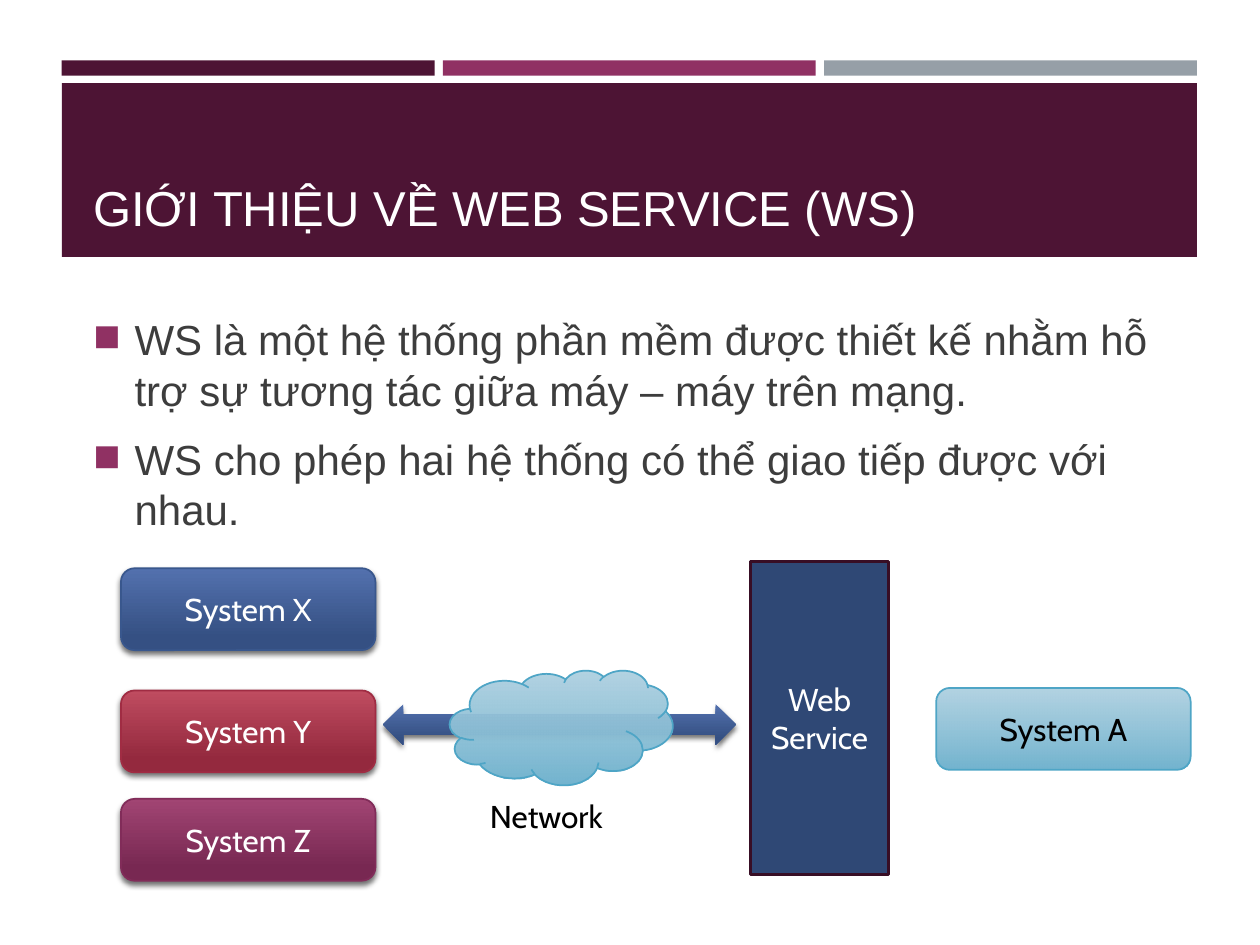
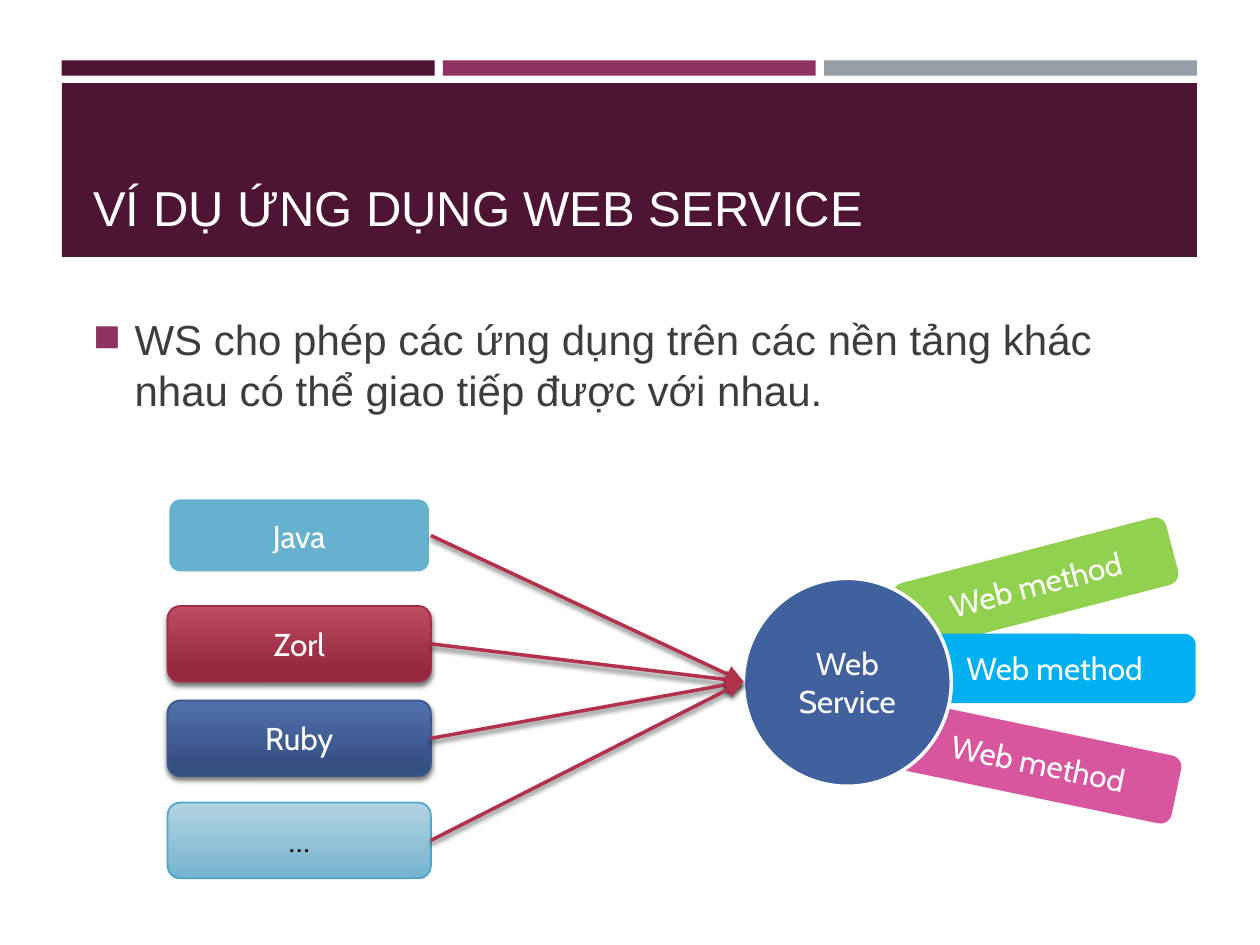
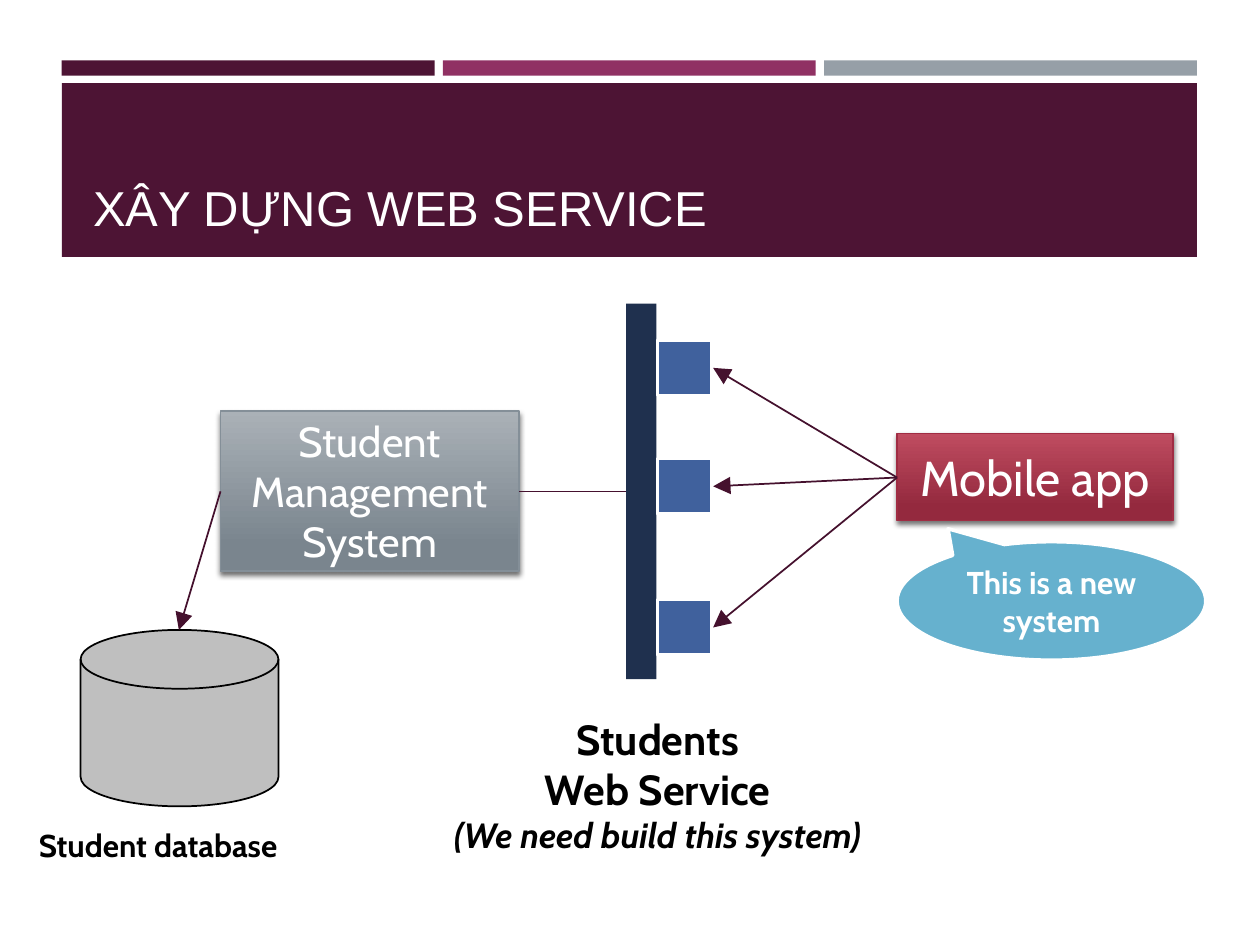
"""Build three slides that introduce web services."""
from collections import namedtuple

from lxml import etree
from pptx import Presentation
from pptx.dml.color import RGBColor
from pptx.enum.shapes import MSO_CONNECTOR, MSO_SHAPE
from pptx.enum.text import MSO_ANCHOR, MSO_AUTO_SIZE, PP_ALIGN
from pptx.oxml.ns import qn
from pptx.util import Inches, Pt

RECTANGLE, ROUNDED = MSO_SHAPE.RECTANGLE, MSO_SHAPE.ROUNDED_RECTANGLE
OVAL, CLOUD = MSO_SHAPE.OVAL, MSO_SHAPE.CLOUD
DOUBLE_ARROW, CALLOUT = MSO_SHAPE.LEFT_RIGHT_ARROW, MSO_SHAPE.OVAL_CALLOUT
DISK = MSO_SHAPE.FLOWCHART_MAGNETIC_DISK
STRAIGHT = MSO_CONNECTOR.STRAIGHT
MIDDLE, BOTTOM = MSO_ANCHOR.MIDDLE, MSO_ANCHOR.BOTTOM
LEFT, CENTER = PP_ALIGN.LEFT, PP_ALIGN.CENTER
NO_AUTOFIT = MSO_AUTO_SIZE.NONE

HEADING_FONT, DIAGRAM_FONT = "Arial", "Cabin"
WHITE = RGBColor(0xFF, 0xFF, 0xFF)
BLACK = RGBColor(0x00, 0x00, 0x00)
PLUM = RGBColor(0x4D, 0x14, 0x34)
MAGENTA = RGBColor(0x90, 0x31, 0x63)
SLATE = RGBColor(0x96, 0x9F, 0xA7)
BODY_GREY = RGBColor(0x3D, 0x3D, 0x3D)
DARK_PLUM = RGBColor(0x45, 0x11, 0x2E)
CRIMSON = RGBColor(0xB2, 0x32, 0x4B)
BLUE = RGBColor(0x40, 0x61, 0x9D)
SKY = RGBColor(0x66, 0xB1, 0xCE)

Style = namedtuple("Style", "start end edge width raised ink",
                   defaults=(None, None, 1, False, WHITE))
GLOSSY_BLUE = Style(RGBColor(0x53, 0x71, 0xAE), RGBColor(0x35, 0x50, 0x83),
                    RGBColor(0x39, 0x57, 0x8D), raised=True)
GLOSSY_RED = Style(RGBColor(0xBF, 0x4C, 0x60), RGBColor(0x94, 0x29, 0x3E),
                   RGBColor(0xA0, 0x2C, 0x43), raised=True)
GLOSSY_PURPLE = Style(RGBColor(0xA1, 0x45, 0x73), RGBColor(0x78, 0x28, 0x52),
                      RGBColor(0x81, 0x2C, 0x59), raised=True)
GLOSSY_GREY = Style(RGBColor(0xAA, 0xB1, 0xB7), RGBColor(0x7A, 0x85, 0x8E),
                    RGBColor(0x84, 0x8F, 0x98), raised=True)
PALE_SKY = Style(RGBColor(0xAA, 0xCE, 0xDF), RGBColor(0x73, 0xB4, 0xCF),
                 RGBColor(0x4E, 0xA5, 0xC6), ink=BLACK)
FLAT_BLUE = Style(BLUE, edge=WHITE, width=2)
FLAT_SKY = Style(SKY, edge=WHITE, width=2)
SERVICE_BLOCK = Style(RGBColor(0x2F, 0x48, 0x75), edge=RGBColor(0x38, 0x0E, 0x25), width=1.75)
SERVICE_WALL = Style(RGBColor(0x1F, 0x30, 0x4E))
DATABASE = Style(RGBColor(0xBF, 0xBF, 0xBF), edge=BLACK)
GREEN_METHOD = Style(RGBColor(0x92, 0xD0, 0x50))
CYAN_METHOD = Style(RGBColor(0x00, 0xB0, 0xF0))
PINK_METHOD = Style(RGBColor(0xD7, 0x56, 0x9D))

SHADOW = (
    '<a:outerShdw xmlns:a="http://schemas.openxmlformats.org/drawingml/2006/main"'
    ' blurRad="38100" dist="25400" dir="5400000" rotWithShape="0">'
    '<a:srgbClr val="000000"><a:alpha val="55000"/></a:srgbClr></a:outerShdw>'
)


def add_box(slide, kind, box, style, text="", size=18, bold=False):
    shape = slide.shapes.add_shape(kind, *map(Inches, box))
    shape.shadow.inherit = False
    if style.raised:
        effects = shape.element.spPr.find(qn("a:effectLst"))
        effects.append(etree.fromstring(SHADOW))
    if style.end:
        shape.fill.gradient()
        shape.fill.gradient_angle = 270
        first, last = shape.fill.gradient_stops
        first.color.rgb, last.color.rgb = style.start, style.end
        first.position, last.position = 0, 0.84 if style.raised else 1
        if style is PALE_SKY:
            color = next(shape.element.spPr.iter(qn("a:srgbClr")))
            etree.SubElement(color, qn("a:alpha"), val="90000")
    else:
        shape.fill.solid()
        shape.fill.fore_color.rgb = style.start
    if style.edge:
        shape.line.color.rgb = style.edge
        shape.line.width = Pt(style.width)
    else:
        shape.line.fill.background()
    if text:
        shape.text_frame.vertical_anchor = MIDDLE
        paragraph = shape.text_frame.paragraphs[0]
        paragraph.alignment = CENTER
        run = paragraph.add_run()
        run.text = text
        run.font.name, run.font.size, run.font.bold = DIAGRAM_FONT, Pt(size), bold
        run.font.color.rgb = style.ink
    return shape


def add_line(slide, start, end, color, width=1, arrow=True, raised=False):
    line = slide.shapes.add_connector(STRAIGHT, *map(Inches, start + end))
    line.line.color.rgb = color
    line.line.width = Pt(width)
    properties = line.element.spPr
    if arrow:
        etree.SubElement(properties.find(qn("a:ln")), qn("a:tailEnd"),
                         type="triangle", w="lg", len="lg")
    effects = etree.SubElement(properties, qn("a:effectLst"))
    if raised:
        effects.append(etree.fromstring(SHADOW))


presentation = Presentation()
presentation.slide_width, presentation.slide_height = Inches(10), Inches(7.5)
layout = presentation.slide_layouts.get_by_name("Title Only")

PAGES = [
    ("GIỚI THIỆU VỀ WEB SERVICE (WS)", [
        "WS là một hệ thống phần mềm được thiết kế nhằm hỗ trợ sự tương tác giữa máy – máy trên mạng.",
        "WS cho phép hai hệ thống có thể giao tiếp được với nhau."]),
    ("VÍ DỤ ỨNG DỤNG WEB SERVICE", [
        "WS cho phép các ứng dụng trên các nền tảng khác nhau có thể giao tiếp được với nhau."]),
    ("XÂY DỰNG WEB SERVICE", []),
]
slides = []
for heading, points in PAGES:
    slide = presentation.slides.add_slide(layout)
    slides.append(slide)
    title = slide.shapes.title
    title.left, title.top, title.width, title.height = map(Inches, (0.64, 0.75, 8.74, 1.18))
    title.text_frame.auto_size = NO_AUTOFIT
    title.text_frame.vertical_anchor = BOTTOM
    paragraph = title.text_frame.paragraphs[0]
    paragraph.alignment = LEFT
    run = paragraph.add_run()
    run.text = heading
    run.font.name, run.font.size = HEADING_FONT, Pt(28)
    run.font.color.rgb = WHITE
    if not points:
        continue
    frame = slide.shapes.add_textbox(*map(Inches, (0.64, 2.44, 8.74, 3.97))).text_frame
    frame.word_wrap = True
    for index, point in enumerate(points):
        paragraph = frame.add_paragraph() if index else frame.paragraphs[0]
        paragraph.line_spacing = 1.0
        paragraph.space_before = Pt(10.8 if index else 0)
        run = paragraph.add_run()
        run.text = point
        run.font.name, run.font.size = HEADING_FONT, Pt(24)
        run.font.color.rgb = BODY_GREY
        properties = paragraph._p.get_or_add_pPr()
        properties.set("marL", str(Inches(0.33)))
        properties.set("indent", str(-Inches(0.33)))
        bullet_color = etree.SubElement(properties, qn("a:buClr"))
        etree.SubElement(bullet_color, qn("a:srgbClr"), val=str(MAGENTA))
        etree.SubElement(properties, qn("a:buSzPct"), val="80000")
        etree.SubElement(properties, qn("a:buChar"), char="◼")

introduction, example, construction = slides

bands = [((0.49 + 3.025 * column, 0.48, 2.96, 0.12), color)
         for column, color in enumerate((PLUM, MAGENTA, SLATE))]
bands.append(((0.49, 0.66, 9.01, 1.38), PLUM))
for position, (box, color) in enumerate(bands):
    band = add_box(introduction, RECTANGLE, box, Style(color))
    layout.shapes.element.insert(2 + position, band.element)

add_box(introduction, DOUBLE_ARROW, (3.04, 5.59, 2.8, 0.32), GLOSSY_BLUE._replace(edge=None))
for name, left, top, style in [
    ("System X", 0.96, 4.51, GLOSSY_BLUE),
    ("System Y", 0.96, 5.48, GLOSSY_RED),
    ("System Z", 0.96, 6.34, GLOSSY_PURPLE),
    ("System A", 7.43, 5.46, PALE_SKY),
]:
    add_box(introduction, ROUNDED, (left, top, 2.02, 0.65), style, name)
add_box(introduction, CLOUD, (3.57, 5.32, 1.77, 0.91), PALE_SKY)
add_box(introduction, RECTANGLE, (5.96, 4.46, 1.09, 2.48), SERVICE_BLOCK, "Web Service")

for left, top, angle, style in [
    (7.1, 4.36, 345.4, GREEN_METHOD),
    (7.25, 5.03, 0, CYAN_METHOD),
    (7.12, 5.78, 11.8, PINK_METHOD),
]:
    method = add_box(example, ROUNDED, (left, top, 2.24, 0.55), style, "Web method")
    method.rotation = angle
add_box(example, OVAL, (5.9, 4.59, 1.65, 1.65), FLAT_BLUE, "Web Service")
for platform, top, style in [
    ("Java", 3.95, FLAT_SKY),
    ("Zorl", 4.81, GLOSSY_RED),
    ("Ruby", 5.56, GLOSSY_BLUE),
    ("…", 6.37, PALE_SKY),
]:
    add_box(example, ROUNDED, (1.33, top, 2.09, 0.6), style, platform)
    add_line(example, (3.42, top + 0.3), (5.9, 5.41), CRIMSON, width=2, raised=True)

add_box(construction, DISK, (0.64, 5, 1.57, 1.4), DATABASE)
add_box(construction, RECTANGLE, (1.75, 3.26, 2.37, 1.27), GLOSSY_GREY,
        "Student Management System", 24)
add_box(construction, RECTANGLE, (7.12, 3.44, 2.19, 0.69), GLOSSY_RED, "Mobile app", 28)
add_line(construction, (1.75, 3.9), (1.42, 5), DARK_PLUM)
add_box(construction, RECTANGLE, (4.97, 2.41, 0.24, 2.98), SERVICE_WALL)
add_line(construction, (4.12, 3.9), (4.97, 3.9), DARK_PLUM, arrow=False)
for top in (2.7, 3.64, 4.76):
    add_box(construction, RECTANGLE, (5.22, top, 0.43, 0.44), FLAT_BLUE)
    add_line(construction, (7.12, 3.79), (5.66, top + 0.22), DARK_PLUM)
callout = add_box(construction, CALLOUT, (7.12, 4.3, 2.45, 0.94), FLAT_SKY,
                  "This is a new system", bold=True)
callout.adjustments[0], callout.adjustments[1] = -0.335, -0.61

for slide, box, alignment, lines in [
    (introduction, (3.79, 6.28, 1.22, 0.4), LEFT, [("Network", 18, False, False)]),
    (construction, (0.21, 6.51, 2.43, 0.4), LEFT, [("Student database", 18, True, False)]),
    (construction, (3.44, 5.61, 3.56, 1.25), CENTER, [
        ("Students", 24, True, False),
        ("Web Service", 24, True, False),
        ("(We need build this system)", 20, True, True)]),
]:
    frame = slide.shapes.add_textbox(*map(Inches, box)).text_frame
    frame.word_wrap = True
    for index, (text, size, bold, italic) in enumerate(lines):
        paragraph = frame.add_paragraph() if index else frame.paragraphs[0]
        paragraph.alignment = alignment
        run = paragraph.add_run()
        run.text = text
        run.font.name, run.font.size = DIAGRAM_FONT, Pt(size)
        run.font.bold, run.font.italic = bold, italic
        run.font.color.rgb = BLACK

presentation.save("out.pptx")
